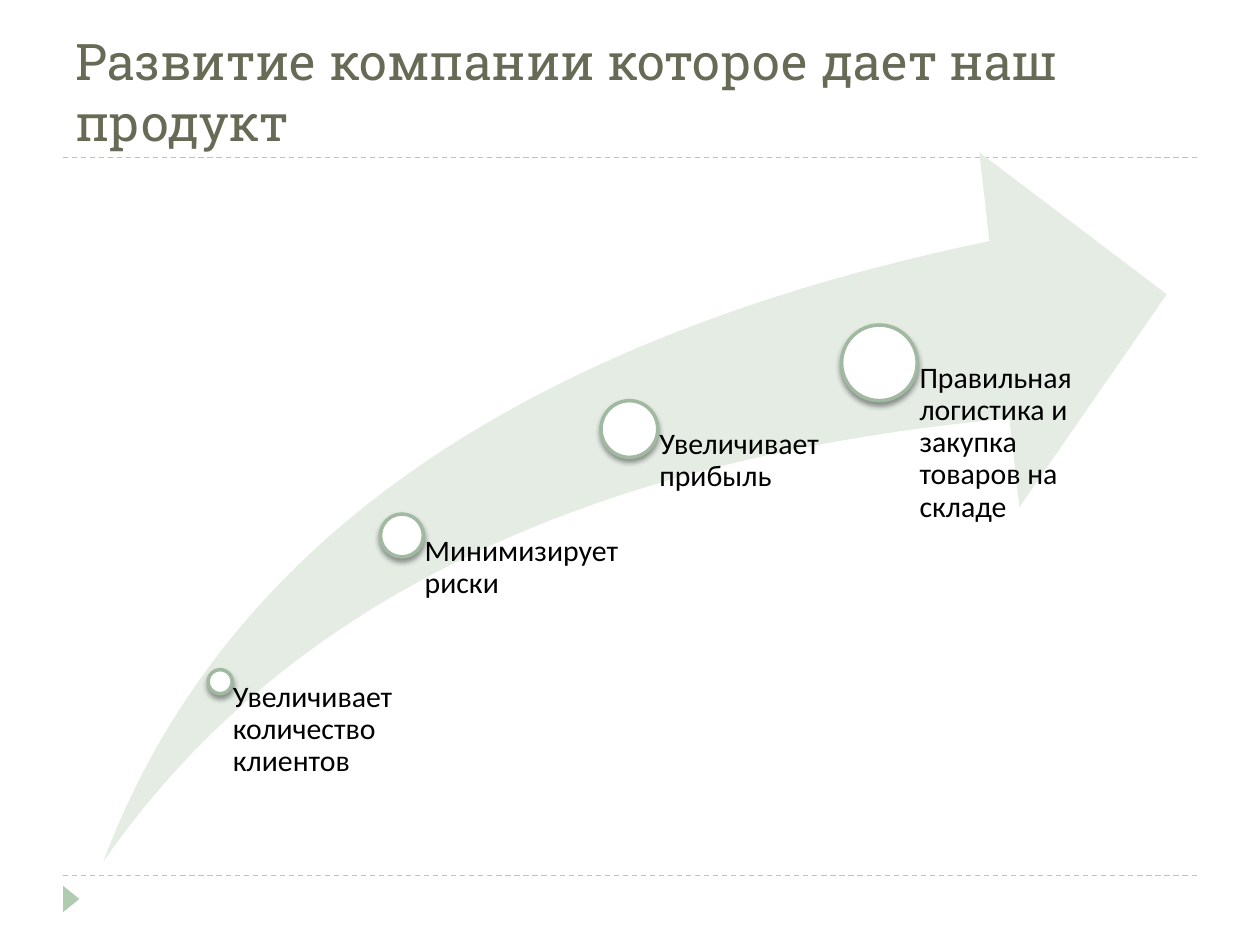
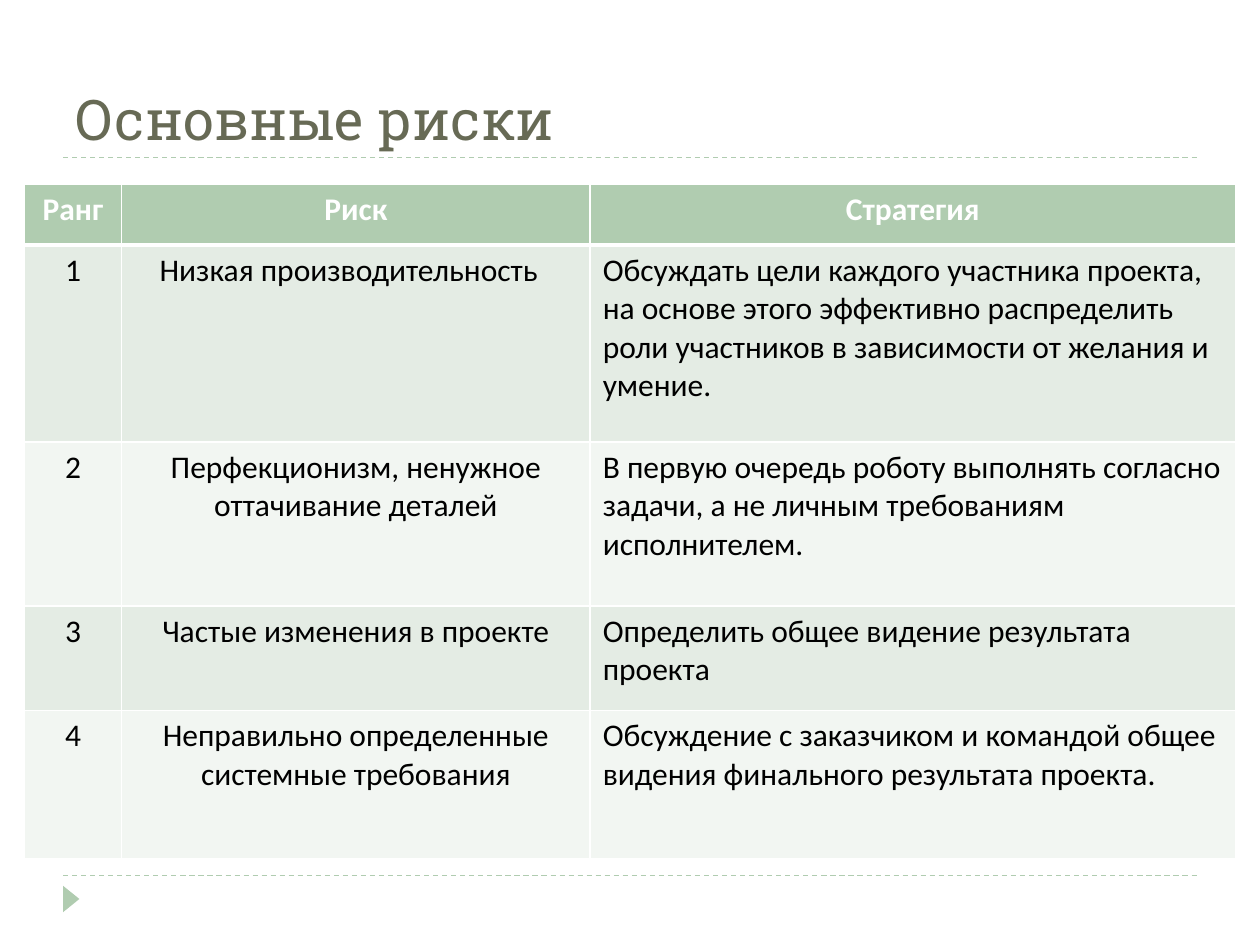
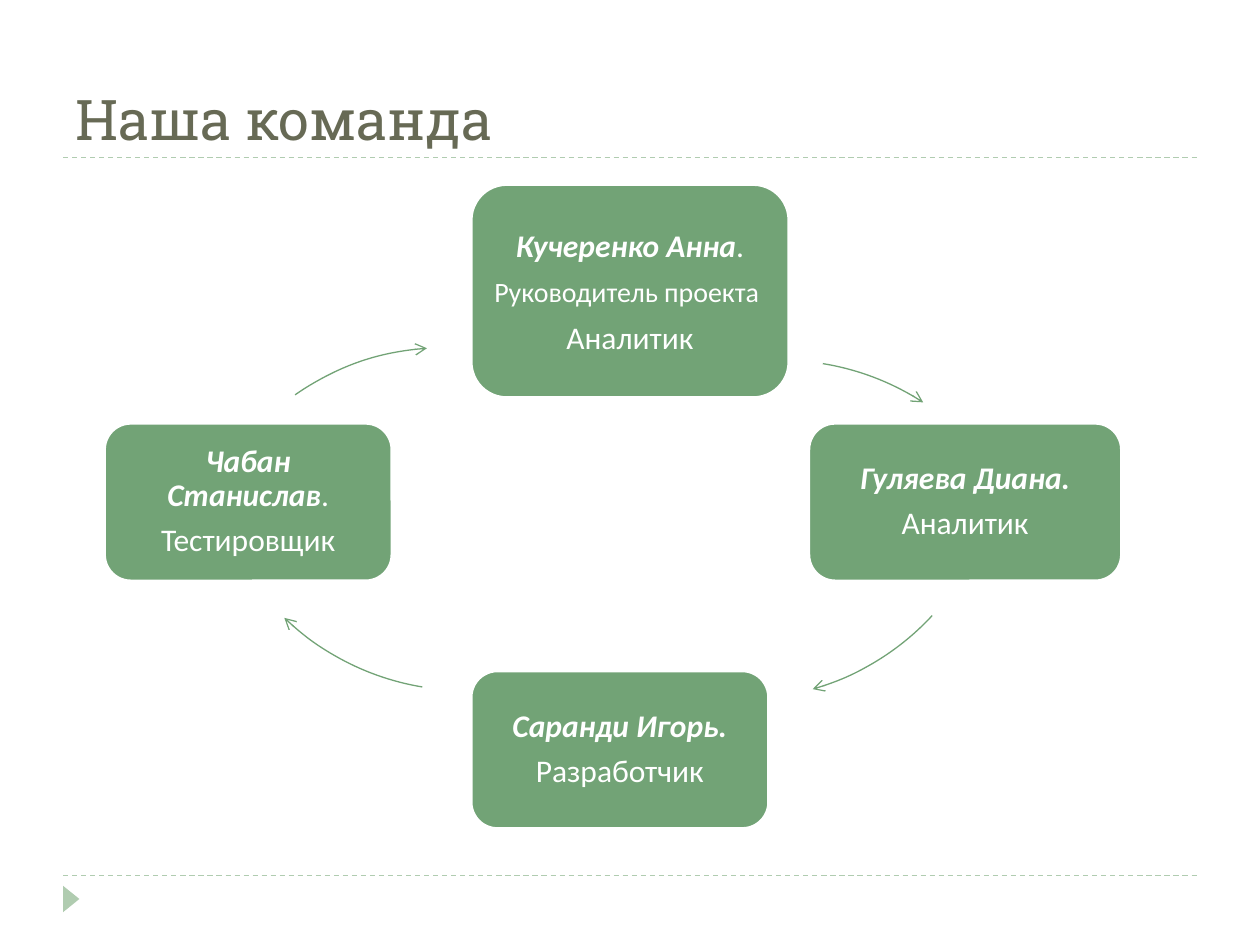
from lxml import etree
from pptx import Presentation
from pptx import util as u
from pptx.dml.color import RGBColor
from pptx.enum import dml, shapes, text
from pptx.oxml import ns

COLORS = {
    "title": "676A55", "accent": "B0CCB0", "pale": "E4ECE4", "faint": "F2F6F2",
    "ring": "A0B9A0", "card": "72A376", "white": "FFFFFF", "black": "000000",
}
COLORS = {name: RGBColor.from_string(value) for name, value in COLORS.items()}
COLUMNS, ROWS = 40, 30

presentation = Presentation()
presentation.slide_width = u.Inches(10)
presentation.slide_height = u.Inches(7.5)
cell_size = presentation.slide_width / COLUMNS


def grid(*lengths):
    return [u.Emu(round(length * cell_size)) for length in lengths]


def write(paragraph, words, size, color, font="Calibri", bold=False, italic=False):
    run = paragraph.add_run()
    run.text = words
    run.font.size = u.Pt(size)
    run.font.name = font
    run.font.bold = bold
    run.font.italic = italic
    run.font.color.rgb = COLORS[color]


titles = [
    ("Развитие компании которое дает наш продукт", 28.8),
    ("Основные риски", 32),
    ("Наша команда", 32),
]
slides = []
for words, size in titles:
    slide = presentation.slides.add_slide(presentation.slide_layouts[6])
    slides.append(slide)
    for row in (ROWS - 2.2, 5):
        rule = slide.shapes.add_connector(
            shapes.MSO_CONNECTOR.STRAIGHT, *grid(2, row, COLUMNS - 2, row))
        rule.line.color.rgb = COLORS["accent"]
        rule.line.width = u.Pt(0.75)
        rule.line.dash_style = dml.MSO_LINE.DASH
        etree.SubElement(rule._element.spPr, ns.qn("a:effectLst"))
    marker = slide.shapes.add_shape(
        shapes.MSO_SHAPE.ISOSCELES_TRIANGLE, *grid(1.84, 28.28, 0.84, 0.52))
    marker.rotation = 90
    marker.shadow.inherit = False
    marker.fill.solid()
    marker.fill.fore_color.rgb = COLORS["accent"]
    marker.line.fill.background()
    title = slide.shapes.add_textbox(*grid(2, 0.68, COLUMNS - 4, 4.32))
    title.text_frame.word_wrap = True
    title.text_frame.vertical_anchor = text.MSO_ANCHOR.BOTTOM
    write(title.text_frame.paragraphs[0], words, size, "title", font="Roboto Slab")

growth_slide, risk_slide, team_slide = slides

swoosh = growth_slide.shapes.add_shape(
    shapes.MSO_SHAPE.SWOOSH_ARROW, *grid(3.28, 4.84, 33.76, 22.52))
swoosh.adjustments[0] = 0.25
swoosh.adjustments[1] = 0.25
swoosh.shadow.inherit = False
swoosh.fill.solid()
swoosh.fill.fore_color.rgb = COLORS["pale"]
swoosh.line.fill.background()

label_bottom = 26.65
steps = [
    (6.99, 21.64, 0.76, 5.76, "Увеличивает количество клиентов"),
    (12.76, 17, 1.36, 7.08, "Минимизирует риски"),
    (19.98, 13.62, 1.8, 7.08, "Увеличивает прибыль"),
    (27.92, 11.52, 2.4, 7.08, "Правильная логистика и закупка товаров на складе"),
]
for x, y, diameter, width, words in steps:
    dot = growth_slide.shapes.add_shape(
        shapes.MSO_SHAPE.OVAL,
        *grid(x - diameter / 2, y - diameter / 2, diameter, diameter))
    dot.fill.solid()
    dot.fill.fore_color.rgb = COLORS["white"]
    dot.line.color.rgb = COLORS["ring"]
    dot.line.width = u.Pt(2)
    dot.shadow.inherit = False
    effects = dot._element.spPr.find(ns.qn("a:effectLst"))
    shadow = etree.SubElement(
        effects, ns.qn("a:outerShdw"), blurRad=str(u.Pt(3)), dist=str(u.Pt(2)),
        dir="5400000", rotWithShape="0")
    shade = etree.SubElement(shadow, ns.qn("a:srgbClr"), val=str(COLORS["black"]))
    etree.SubElement(shade, ns.qn("a:alpha"), val="40000")

    label = growth_slide.shapes.add_textbox(*grid(x, y, width, label_bottom - y))
    frame = label.text_frame
    frame.word_wrap = True
    frame.margin_left = grid(diameter * 0.53)[0]
    frame.margin_top = frame.margin_right = frame.margin_bottom = 0
    paragraph = frame.paragraphs[0]
    paragraph.line_spacing = 0.9
    write(paragraph, words, 17, "black")

risks = [
    ("Ранг", "Риск", "Стратегия"),
    ("1", "Низкая производительность  ",
     "Обсуждать цели каждого участника проекта, на основе этого эффективно "
     "распределить роли участников в зависимости от желания и умение."),
    ("2", "Перфекционизм, ненужное оттачивание деталей",
     "В первую очередь роботу выполнять согласно задачи, а не личным "
     "требованиям исполнителем."),
    ("3", "Частые изменения в проекте", "Определить общее видение результата проекта"),
    ("4", "Неправильно определенные системные требования",
     "Обсуждение с заказчиком и командой общее видения финального результата проекта."),
]
column_widths = grid(3.08, 14.88, 20.48)
row_heights = grid(1.92, 6.26, 5.2, 3.32, 4.7)
table = risk_slide.shapes.add_table(
    len(row_heights), len(column_widths), *grid(0.78, 5.86),
    sum(column_widths), sum(row_heights)).table
for column, width in zip(table.columns, column_widths):
    column.width = width
for row, height in zip(table.rows, row_heights):
    row.height = height
for row_index, entries in enumerate(risks):
    header = row_index == 0
    fill = "accent" if header else ("faint", "pale")[row_index % 2]
    for column_index, words in enumerate(entries):
        cell = table.cell(row_index, column_index)
        properties = cell._tc.get_or_add_tcPr()
        for side in ("lnL", "lnR", "lnT", "lnB"):
            thick = (header and side == "lnB") or (row_index == 1 and side == "lnT")
            border = etree.SubElement(
                properties, ns.qn("a:" + side), w=str(u.Pt(3 if thick else 1)))
            paint = etree.SubElement(border, ns.qn("a:solidFill"))
            etree.SubElement(paint, ns.qn("a:srgbClr"), val=str(COLORS["white"]))
        cell.fill.solid()
        cell.fill.fore_color.rgb = COLORS[fill]
        paragraph = cell.text_frame.paragraphs[0]
        centred = header or column_index < 2
        paragraph.alignment = text.PP_ALIGN.CENTER if centred else text.PP_ALIGN.LEFT
        write(paragraph, words, 18, "white" if header else "black", bold=header)

members = [
    ((14.96, 5.86, 10.08, 6.76), 1, "Кучеренко Анна", ".",
     [("Руководитель проекта ", 16), ("Аналитик", 18)]),
    ((25.68, 13.44, 9.92, 5), 0.9, "Гуляева Диана.", "", [("Аналитик", 18)]),
    ((14.96, 21.3, 9.44, 5), 0.9, "Саранди Игорь.", "", [("Разработчик", 18)]),
    ((3.32, 13.44, 9.12, 5), 0.9, "Чабан Станислав", ".", [("Тестировщик", 18)]),
]
for area, spacing, name, ending, roles in members:
    card = team_slide.shapes.add_shape(
        shapes.MSO_SHAPE.ROUNDED_RECTANGLE, *grid(*area))
    card.shadow.inherit = False
    card.fill.solid()
    card.fill.fore_color.rgb = COLORS["card"]
    card.line.color.rgb = COLORS["white"]
    card.line.width = u.Pt(1.5)
    frame = card.text_frame
    frame.word_wrap = True
    frame.vertical_anchor = text.MSO_ANCHOR.MIDDLE
    frame.margin_left = frame.margin_right = u.Inches(0.08)
    frame.margin_top = frame.margin_bottom = u.Inches(0.07)
    write(frame.paragraphs[0], name, 18, "white", bold=True, italic=True)
    if ending:
        write(frame.paragraphs[0], ending, 18, "white")
    for role, size in roles:
        write(frame.add_paragraph(), role, size, "white")
    for paragraph in frame.paragraphs:
        paragraph.alignment = text.PP_ALIGN.CENTER
        paragraph.line_spacing = spacing
        paragraph.space_after = u.Pt(0.35 * paragraph.runs[0].font.size.pt)

arc_size = 16.56
adjustment_per_degree = 0.6
arcs = [
    (16.52, 11.44, -80.8, -57),
    (15.24, 5.64, 42.8, 74),
    (6.48, 5.36, 99.4, 133.8),
    (5.84, 11.04, -125, -93.9),
]
for left, top, start, end in arcs:
    arrow = team_slide.shapes.add_shape(
        shapes.MSO_SHAPE.ARC, *grid(left, top, arc_size, arc_size))
    for index, angle in enumerate((start, end)):
        arrow.adjustments[index] = angle % 360 * adjustment_per_degree
    arrow.shadow.inherit = False
    arrow.fill.background()
    arrow.line.color.rgb = COLORS["card"]
    arrow.line.width = u.Pt(0.75)
    etree.SubElement(arrow.line._get_or_add_ln(), ns.qn("a:tailEnd"), type="arrow")

presentation.save("out.pptx")
